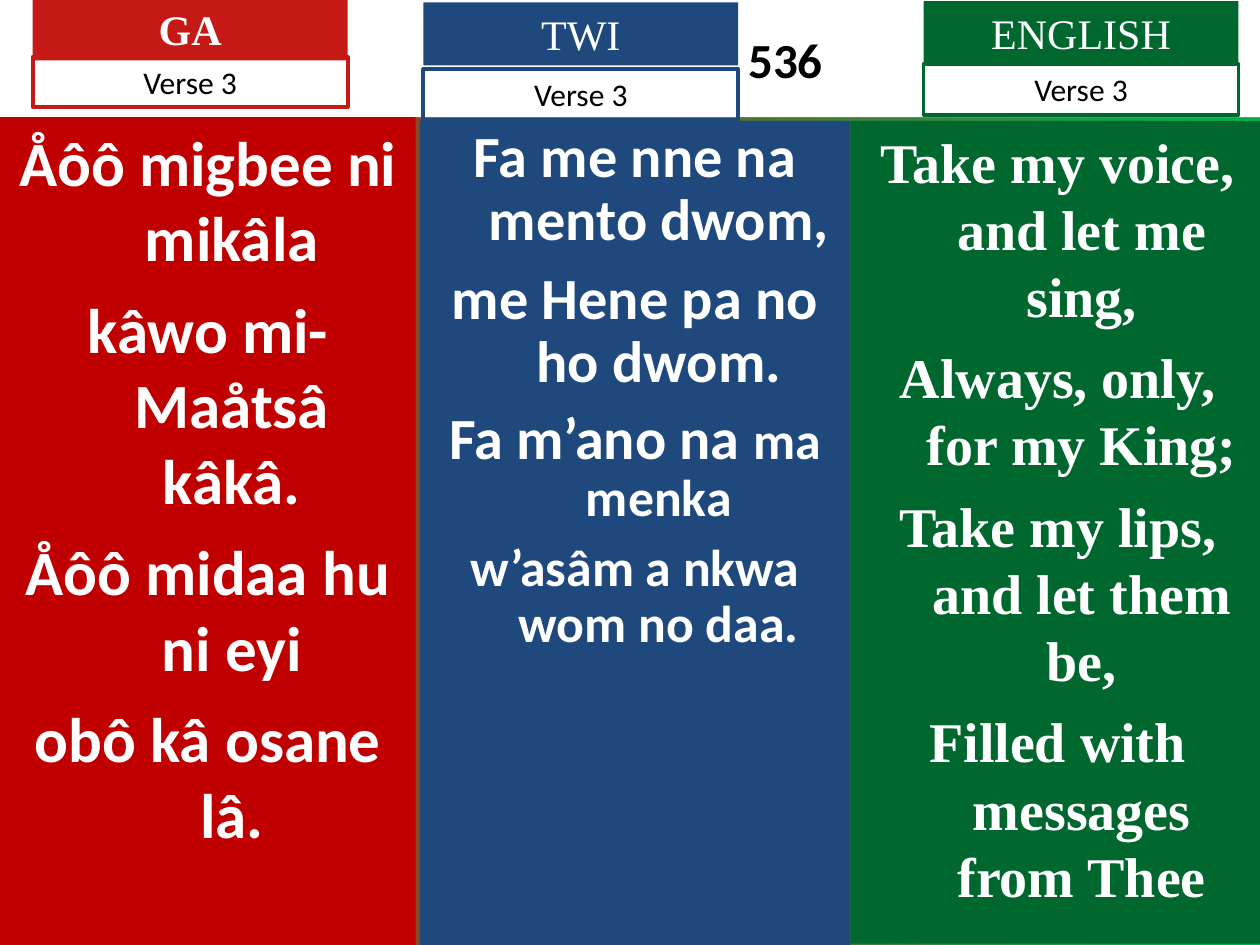
from dataclasses import dataclass

from pptx import Presentation
from pptx import util as u
from pptx.dml.color import RGBColor
from pptx.enum import text

WIDTH, HEIGHT = u.Inches(10), u.Inches(7.5)
COLUMNS, ROWS = 1000, 750

WHITE = RGBColor(0xFF, 0xFF, 0xFF)
BLACK = RGBColor(0, 0, 0)
CRIMSON = RGBColor(0xC0, 0, 0)
SCARLET = RGBColor(0xC5, 0x19, 0x15)
NAVY = RGBColor(0x1F, 0x49, 0x7D)
FOREST = RGBColor(0, 0x68, 0x2F)
EMERALD = RGBColor(0, 0xB0, 0x50)

LABEL_COLUMNS, HEADING_ROWS, VERSE_ROWS = 250, 50, 40


@dataclass(frozen=True)
class Area:
    column: int
    row: int
    columns: int
    rows: int

    def bounds(self) -> tuple[int, int, int, int]:
        return (WIDTH * self.column // COLUMNS, HEIGHT * self.row // ROWS,
                WIDTH * self.columns // COLUMNS, HEIGHT * self.rows // ROWS)


@dataclass(frozen=True)
class Line:
    words: tuple[str, ...]
    sizes: tuple[float, ...]
    before: float


@dataclass(frozen=True)
class Language:
    name: str
    bold_name: bool
    accent: RGBColor
    panel_color: RGBColor
    panel: Area
    label_column: int
    heading_row: int
    verse_row: int
    font: str
    spacing: float
    lyrics: tuple[Line, ...]


def plain_lines(size: float, before: float, *lyrics: str) -> tuple[Line, ...]:
    return tuple(Line((lyric,), (size,), before) for lyric in lyrics)


LANGUAGES = (
    Language("GA", True, SCARLET, CRIMSON, Area(0, 93, 330, 657), 26, -2, 45,
             "Calibri", 1.0,
             plain_lines(36, 9, "Åôô migbee ni mikâla", "kâwo mi-Maåtsâ kâkâ.",
                         "Åôô midaa hu ni eyi", "obô kâ osane lâ.")),
    Language("TWI", False, NAVY, NAVY, Area(333, 96, 342, 654), 336, 2, 55,
             "Calibri", 0.9,
             plain_lines(33.3, 9, "Fa me nne na mento dwom,",
                         "me Hene pa no ho dwom.")
             + (Line(("Fa m’ano na ", "ma menka"), (33.3, 29.6), 8),)
             + plain_lines(29.6, 8, "w’asâm a nkwa wom no daa.")),
    Language("ENGLISH", False, FOREST, FOREST, Area(675, 96, 329, 653), 733, 1, 51,
             "Times New Roman", 1.0,
             plain_lines(32, 8, "Take my voice, and let me sing,",
                         "Always, only, for my King;",
                         "Take my lips, and let them be,",
                         "Filled with messages from Thee")),
)


def style(font, name: str, size: float, color: RGBColor, bold: bool) -> None:
    font.name, font.size, font.bold = name, u.Pt(size), bold
    font.color.rgb = color


def draw_panel(slide, language: Language) -> None:
    panel = slide.shapes.add_textbox(*language.panel.bounds())
    panel.fill.solid()
    panel.fill.fore_color.rgb = language.panel_color
    frame = panel.text_frame
    frame.word_wrap = True
    for index, line in enumerate(language.lyrics):
        paragraph = frame.add_paragraph() if index else frame.paragraphs[0]
        paragraph.alignment = text.PP_ALIGN.CENTER
        paragraph.line_spacing = language.spacing
        paragraph.space_before = u.Pt(line.before if index else 0)
        indents = paragraph._p.get_or_add_pPr()
        indents.set("marL", str(u.Inches(0.38)))
        indents.set("indent", str(-u.Inches(0.38)))
        for words, size in zip(line.words, line.sizes):
            run = paragraph.add_run()
            run.text = words
            style(run.font, language.font, size, WHITE, True)


def add_label(slide, area: Area, words: str, font: str, size: float,
              color: RGBColor, bold: bool = False):
    label = slide.shapes.add_textbox(*area.bounds())
    frame = label.text_frame
    frame.word_wrap = True
    frame.auto_size = text.MSO_AUTO_SIZE.SHAPE_TO_FIT_TEXT
    frame.text = words
    frame.paragraphs[0].alignment = text.PP_ALIGN.CENTER
    style(frame.paragraphs[0].runs[0].font, font, size, color, bold)
    return label


def draw_labels(slide, language: Language) -> None:
    heading = add_label(
        slide, Area(language.label_column, language.heading_row,
                    LABEL_COLUMNS, HEADING_ROWS),
        language.name, "Times New Roman", 24, WHITE, language.bold_name)
    heading.fill.solid()
    heading.fill.fore_color.rgb = language.accent
    verse = add_label(
        slide, Area(language.label_column, language.verse_row,
                    LABEL_COLUMNS, VERSE_ROWS),
        "Verse 3", "Calibri", 18, BLACK)
    verse.line.color.rgb = language.accent
    verse.line.width = u.Pt(2.25)


def draw_background(slide) -> None:
    fill = slide.background.fill
    fill.gradient()
    fill.gradient_angle = 0
    for stop, color, position in zip(fill.gradient_stops, (SCARLET, EMERALD), (0, 1)):
        stop.color.rgb = color
        stop.position = position


def draw_hymn_number(slide) -> None:
    number = slide.shapes.title
    number.left, number.top, number.width, number.height = Area(0, 0, 1000, 93).bounds()
    number.fill.solid()
    number.fill.fore_color.rgb = WHITE
    frame = number.text_frame
    frame.text = "536"
    frame.margin_left = u.Inches(2.57)
    frame.vertical_anchor = text.MSO_ANCHOR.MIDDLE
    frame.paragraphs[0].alignment = text.PP_ALIGN.CENTER
    style(frame.paragraphs[0].runs[0].font, "Calibri", 28, BLACK, True)


def main() -> None:
    deck = Presentation()
    deck.slide_width, deck.slide_height = WIDTH, HEIGHT
    slide = deck.slides.add_slide(deck.slide_layouts[5])
    draw_background(slide)
    draw_hymn_number(slide)
    for language in LANGUAGES:
        draw_panel(slide, language)
    for language in LANGUAGES:
        draw_labels(slide, language)
    deck.save("out.pptx")


if __name__ == "__main__":
    main()
